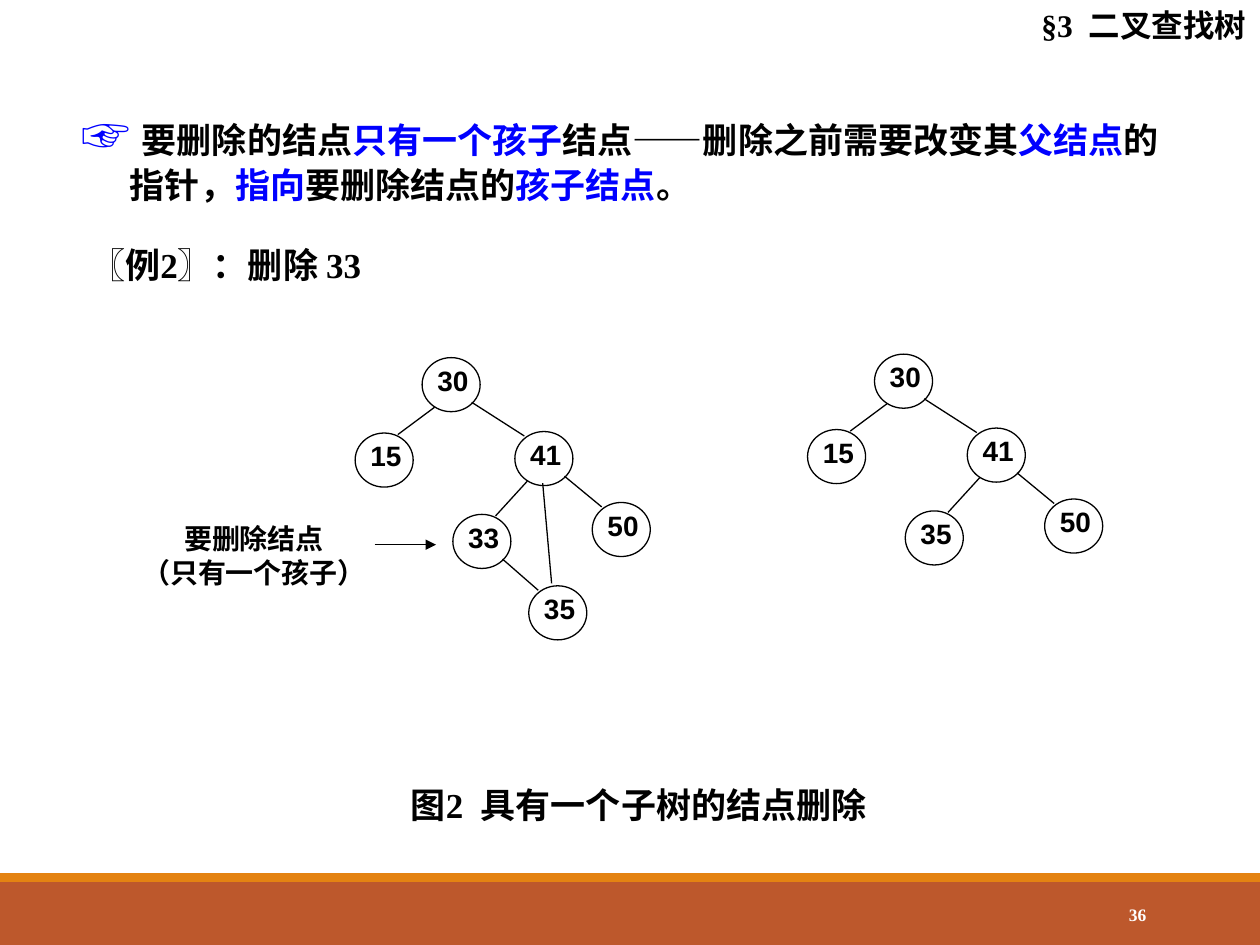
from lxml import etree
from pptx import Presentation
from pptx.dml.color import RGBColor
from pptx.enum.shapes import MSO_CONNECTOR, MSO_SHAPE
from pptx.enum.text import MSO_ANCHOR, MSO_AUTO_SIZE, PP_ALIGN
from pptx.oxml.ns import qn
from pptx.util import Cm, Pt

RECTANGLE, OVAL = MSO_SHAPE.RECTANGLE, MSO_SHAPE.OVAL
STRAIGHT = MSO_CONNECTOR.STRAIGHT
LEFT, CENTER, RIGHT = PP_ALIGN.LEFT, PP_ALIGN.CENTER, PP_ALIGN.RIGHT
TOP, MIDDLE = MSO_ANCHOR.TOP, MSO_ANCHOR.MIDDLE
NO_AUTOFIT = MSO_AUTO_SIZE.NONE

BLACK, WHITE, BLUE = "000000", "FFFFFF", "0000FF"
RUST, ORANGE = "BD582C", "E48312"
SERIF, SANS, CHINESE = "Times New Roman", "Arial", "Noto Sans CJK SC"

NODE_WIDTH, NODE_HEIGHT = 1.17, 1.09
LABEL_LEFT, LABEL_TOP, LABEL_SIZE = 0.3, 0.16, 0.64
NODE_SLOTS = {
    "root": (1.35, 0),
    "left": (0, 1.52),
    "right": (3.22, 1.49),
    "right-left": (1.97, 3.16),
    "right-right": (4.78, 2.92),
    "bottom": (3.5, 4.6),
}
EDGE_ENDS = {
    "left": ((0.25, 1.0), (0.86, 0.03)),
    "right": ((1.0, 0.9), (0.19, 0.09)),
    "bypass": ((0.56, 1.04), (0.46, -0.05)),
}
COMMON_EDGES = [
    ("root", "left", "left"),
    ("root", "right", "right"),
    ("right", "right-left", "left"),
    ("right", "right-right", "right"),
]


def color(value):
    return RGBColor.from_string(value)


def place(shape, box):
    shape.left, shape.top, shape.width, shape.height = (Cm(length) for length in box)


def format_run(run, size, font_name, fill):
    run.font.size = Pt(size)
    run.font.bold = True
    run.font.name = font_name
    run.font.color.rgb = color(fill)
    east_asian = etree.SubElement(run.font._element, qn("a:ea"))
    east_asian.set("typeface", CHINESE)


def write_text(shape, text, size, font_name=SERIF, fill=BLACK, align=LEFT,
               anchor=TOP, inset=True, wrap=True, line_spacing=1.0):
    frame = shape.text_frame
    frame.auto_size = NO_AUTOFIT
    frame.word_wrap = wrap
    frame.vertical_anchor = anchor
    frame.margin_left = frame.margin_right = Cm(0.25 if inset else 0)
    frame.margin_top = frame.margin_bottom = Cm(0.13 if inset else 0)
    frame.text = text
    for paragraph in frame.paragraphs:
        paragraph.alignment = align
        paragraph.line_spacing = line_spacing
        paragraph.space_before = Pt(0)
        for run in paragraph.runs:
            format_run(run, size, font_name, fill)


def add_text(shapes, box, text, size, **options):
    textbox = shapes.add_textbox(*(Cm(length) for length in box))
    write_text(textbox, text, size, **options)


def add_filled_shape(shapes, kind, box, fill, outline=None):
    shape = shapes.add_shape(kind, *(Cm(length) for length in box))
    shape.shadow.inherit = False
    shape.fill.solid()
    shape.fill.fore_color.rgb = color(fill)
    if outline:
        shape.line.color.rgb = color(outline)
        shape.line.width = Pt(0.75)
    else:
        shape.line.fill.background()
    return shape


def add_line(shapes, start, end, arrow=False):
    line = shapes.add_connector(STRAIGHT, *(Cm(length) for length in (*start, *end)))
    line.line.color.rgb = color(BLACK)
    line.line.width = Pt(0.75)
    if arrow:
        etree.SubElement(line.line._get_or_add_ln(), qn("a:tailEnd"), type="triangle")
    etree.SubElement(line._element.spPr, qn("a:effectLst"))


def add_footer(slide, box, number):
    left, top, width, height = box
    stripe = 0.18
    add_filled_shape(slide.shapes, RECTANGLE,
                     (left, top + stripe, width, height - stripe), RUST)
    add_filled_shape(slide.shapes, RECTANGLE, (left, top, width, stripe), ORANGE)
    add_text(slide.shapes, (left + 20.62, top + 0.33, 2.74, 1.02), number, 10,
             fill=WHITE, align=RIGHT, anchor=MIDDLE)


def fill_heading(slide, box, text):
    title = slide.shapes.title
    place(title, box)
    write_text(title, text, 18, align=RIGHT)


def fill_rule(slide, box, pieces):
    body = slide.placeholders[1]
    place(body, box)
    write_text(body, "", 20)
    paragraph = body.text_frame.paragraphs[0]
    properties = paragraph._p.get_or_add_pPr()
    properties.set("marL", str(Cm(0.97)))
    properties.set("indent", str(-Cm(0.97)))
    etree.SubElement(properties, qn("a:buNone"))
    for text, size, font_name, fill in pieces:
        run = paragraph.add_run()
        run.text = text
        format_run(run, size, font_name, fill)


def add_node(shapes, left, top, key):
    add_filled_shape(shapes, OVAL, (left, top, NODE_WIDTH, NODE_HEIGHT), WHITE, BLACK)
    add_text(shapes, (left + LABEL_LEFT, top + LABEL_TOP, LABEL_SIZE, LABEL_SIZE), key, 16,
             font_name=SANS, align=CENTER, inset=False, wrap=False, line_spacing=0.96)


def add_tree(slide, left, top, keys, edges):
    shapes = slide.shapes.add_group_shape().shapes
    corners = {slot: (left + NODE_SLOTS[slot][0], top + NODE_SLOTS[slot][1]) for slot in keys}
    for slot, key in keys.items():
        add_node(shapes, *corners[slot], key)
    for parent, child, side in edges:
        start, end = (
            (corners[slot][0] + offset[0], corners[slot][1] + offset[1])
            for slot, offset in zip((parent, child), EDGE_ENDS[side])
        )
        add_line(shapes, start, end)


def add_deletion_note(slide, box, text):
    left, top, width, height = box
    add_text(slide.shapes, box, text, 16, font_name=CHINESE, align=CENTER, inset=False,
             wrap=False)
    add_line(slide.shapes, (left + width + 0.08, top + 0.46),
             (left + width + 1.32, top + 0.46), arrow=True)


def main():
    presentation = Presentation()
    presentation.slide_width, presentation.slide_height = Cm(25.4), Cm(19.05)
    slide = presentation.slides.add_slide(presentation.slide_layouts[1])

    add_footer(slide, (0, 17.6, 25.4, 1.45), "36")
    fill_heading(slide, (17.78, 0, 7.59, 1.02), "§3  二叉查找树")
    sentence = [
        ("要删除的结点", BLACK), ("只有一个孩子", BLUE),
        ("结点——删除之前需要改变其", BLACK), ("父结点", BLUE),
        ("的指针，", BLACK), ("指向", BLUE),
        ("要删除结点的", BLACK), ("孩子结点", BLUE), ("。", BLACK),
    ]
    fill_rule(slide, (1.4, 1.98, 22.63, 2.29),
              [("☞ ", 28, SANS, BLUE)]
              + [(text, 20, SERIF, fill) for text, fill in sentence])
    add_text(slide.shapes, (1.57, 4.78, 6.07, 1.12), "〖例2〗：删除 33", 20)

    add_deletion_note(slide, (2.77, 10.52, 4.7, 1.22), "要删除结点\n（只有一个孩子）")
    shared_keys = {"root": "30", "left": "15", "right": "41", "right-right": "50"}
    add_tree(slide, 7.16, 7.21, {**shared_keys, "right-left": "33", "bottom": "35"},
             COMMON_EDGES + [("right-left", "bottom", "right"),
                             ("right", "bottom", "bypass")])
    add_tree(slide, 16.28, 7.14, {**shared_keys, "right-left": "35"}, COMMON_EDGES)
    add_text(slide.shapes, (8.03, 15.67, 10.03, 1.12), "图2  具有一个子树的结点删除", 20,
             wrap=False)

    presentation.save("out.pptx")


if __name__ == "__main__":
    main()
